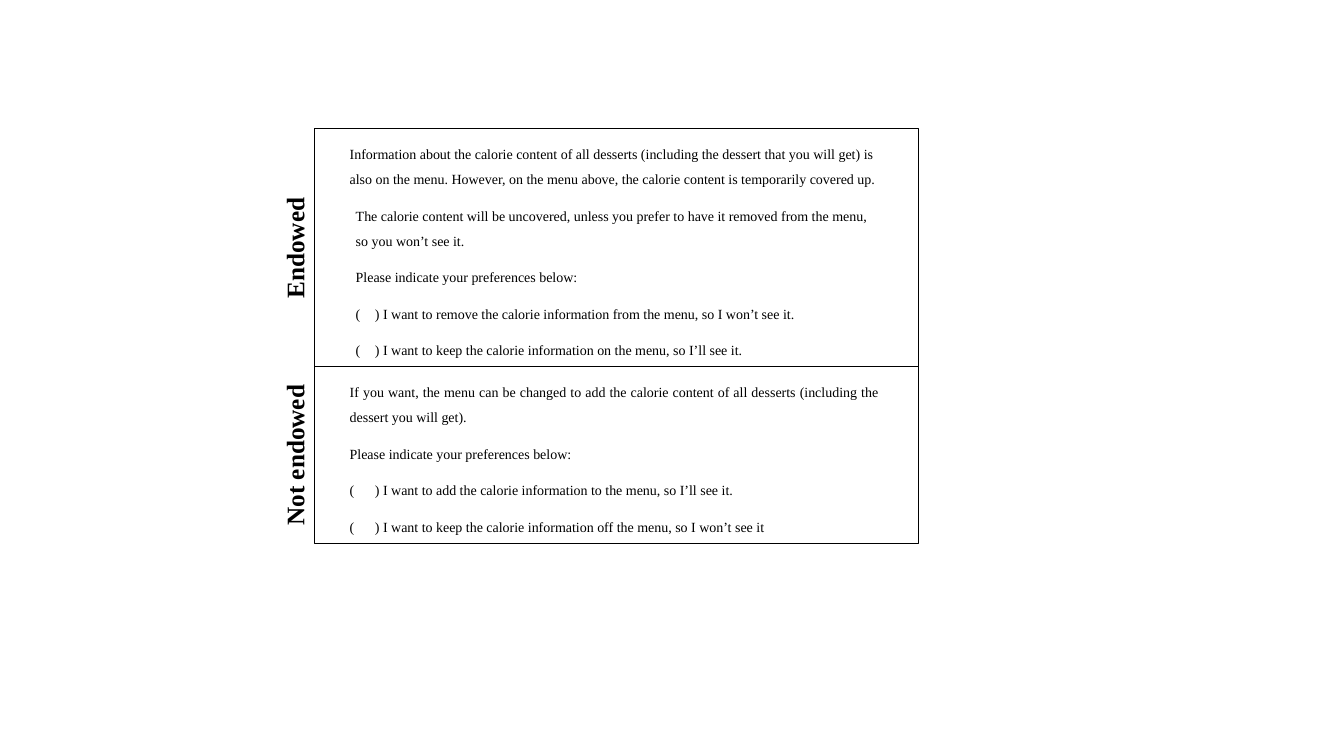
from lxml.etree import SubElement
from pptx import Presentation
from pptx.dml.color import RGBColor
from pptx.enum.shapes import MSO_SHAPE as Shape
from pptx.enum.text import MSO_ANCHOR as Anchor, MSO_AUTO_SIZE as Auto, PP_ALIGN as Align
from pptx.oxml.ns import qn
from pptx.util import Inches, Pt

FONT = "Times New Roman"
LEFT, TOP, WIDTH = 3.12, 1.28, 5.99
BLANK = 0.32
ENDOWED = [
    ("Information about the calorie content of all desserts (including the dessert that you will get) is also on the menu. However, on the menu above, the calorie content is temporarily covered up.", 0.25, Align.LEFT),
    ("The calorie content will be uncovered, unless you prefer to have it removed from the menu, so you won’t see it.", 0.31, Align.LEFT),
    ("Please indicate your preferences below:", 0.31, Align.LEFT),
    ("(\t) I want to remove the calorie information from the menu, so I won’t see it.", 0.31, Align.LEFT),
    ("(\t) I want to keep the calorie information on the menu, so I’ll see it.", 0.31, Align.LEFT),
]
NEUTRAL = [
    ("If you want, the menu can be changed to add the calorie content of all desserts (including the dessert you will get).", 0.25, Align.JUSTIFY),
    ("Please indicate your preferences below:", 0.25, Align.JUSTIFY),
    ("(\t) I want to add the calorie information to the menu, so I’ll see it.", 0.25, Align.JUSTIFY),
    ("(\t) I want to keep the calorie information off the menu, so I won’t see it", 0.25, Align.LEFT),
]
PANELS = [("Endowed", 2.36, ENDOWED), ("Not endowed", 1.75, NEUTRAL)]


def paint(color, value):
    color.rgb = RGBColor.from_string(value)


def style(para, size, bold=False):
    for run in para.runs:
        run.font.name = FONT
        run.font.size = Pt(size)
        run.font.bold = bold
        paint(run.font.color, "000000")


def indent(para, depth):
    props = para._p.get_or_add_pPr()
    if "\t" in para.text:
        props.set("marL", "0")
        props.set("indent", str(Inches(depth)))
        tabs = SubElement(props, qn("a:tabLst"))
        stop = str(Inches(depth + BLANK))
        SubElement(tabs, qn("a:tab"), pos=stop, algn="l")
    else:
        props.set("marL", str(Inches(depth)))
        props.set("indent", "0")


def add_panel(slide, left, top, width, height, lines):
    panel = slide.shapes.add_shape(
        Shape.RECTANGLE, Inches(left), Inches(top), Inches(width), Inches(height))
    panel.shadow.inherit = False
    panel.fill.solid()
    paint(panel.fill.fore_color, "FFFFFF")
    paint(panel.line.color, "000000")
    panel.line.width = Pt(0.75)
    frame = panel.text_frame
    frame.word_wrap = True
    frame.vertical_anchor = Anchor.MIDDLE
    frame.margin_right = Inches(0.4)
    frame.text = "\n".join(text for text, _, _ in lines)
    for para, (_, depth, align) in zip(frame.paragraphs, lines):
        para.alignment = align
        para.line_spacing = 1.5
        para.space_after = Pt(8)
        indent(para, depth)
        style(para, 10)


def add_label(slide, left, top, height, text):
    mid, thick = left - 0.2, 0.4
    label = slide.shapes.add_textbox(
        Inches(mid - height / 2), Inches(top + (height - thick) / 2),
        Inches(height), Inches(thick))
    label.rotation = 270
    frame = label.text_frame
    frame.word_wrap = True
    frame.auto_size = Auto.SHAPE_TO_FIT_TEXT
    frame.text = text
    para = frame.paragraphs[0]
    para.alignment = Align.CENTER
    style(para, 18, True)


def main():
    deck = Presentation()
    deck.slide_width, deck.slide_height = Inches(13.33), Inches(7.5)
    slide = deck.slides.add_slide(deck.slide_layouts[6])
    top = TOP
    for name, height, lines in PANELS:
        add_panel(slide, LEFT, top, WIDTH, height, lines)
        add_label(slide, LEFT, top, height, name)
        top += height
    deck.save("out.pptx")


if __name__ == "__main__":
    main()
